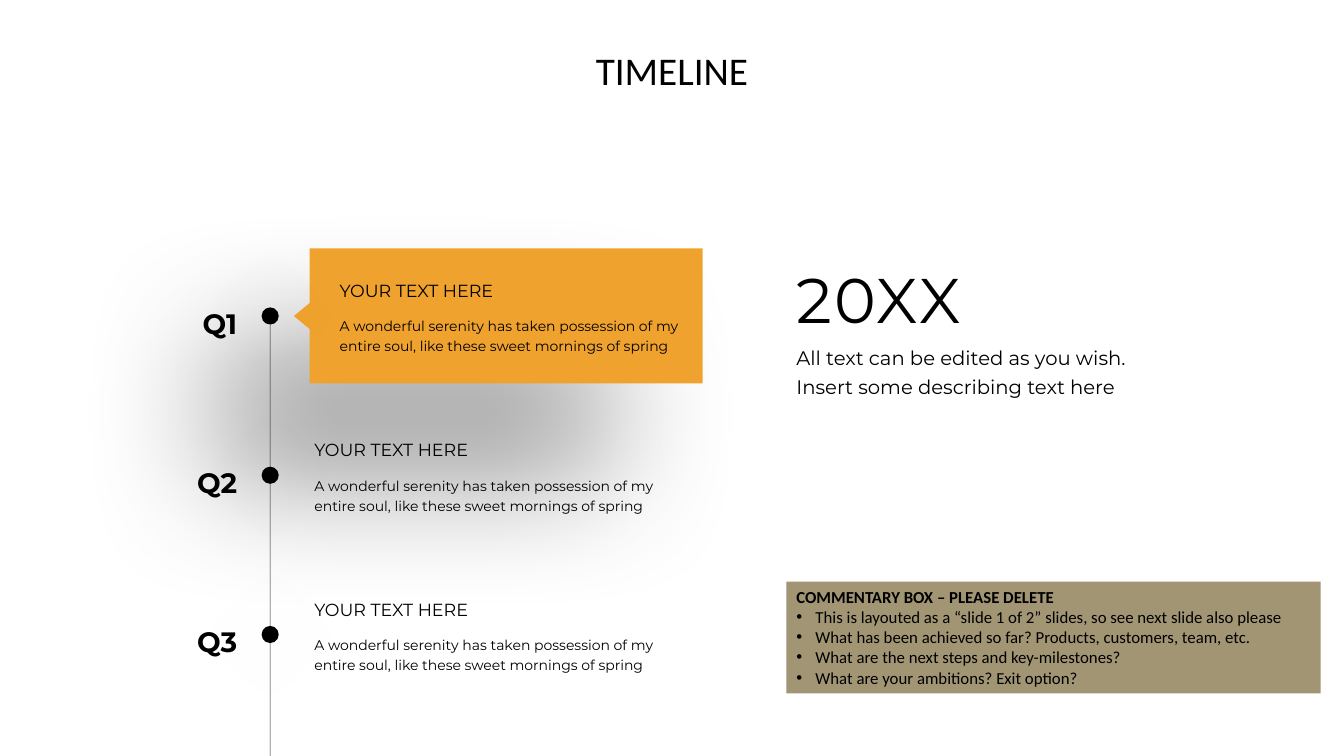
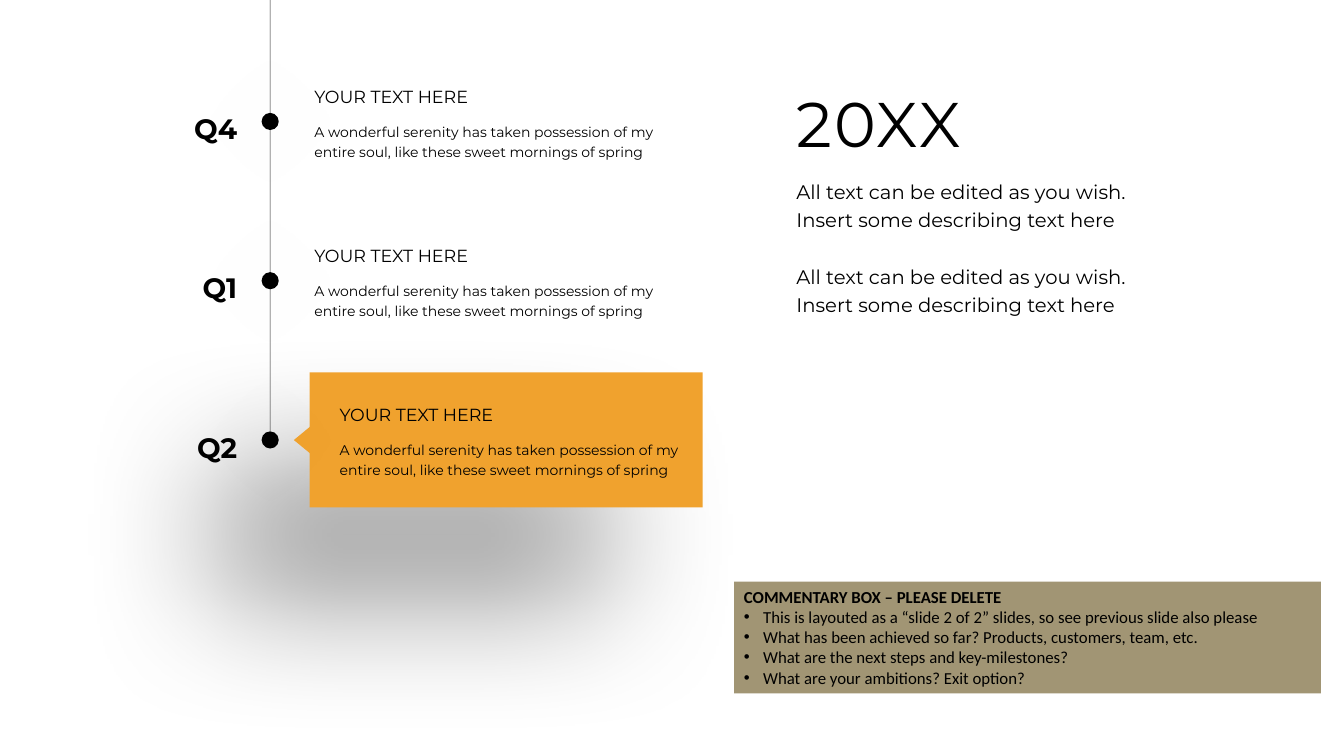
"""Build a two-slide quarterly timeline with highlighted callouts."""
import pptx
import pptx.util
import pptx.dml.color
import pptx.enum.shapes
import pptx.enum.text
import pptx.oxml
import pptx.oxml.ns

W, H = 13.33, 7.5
BLACK, ORANGE, SAND, SHADE = "000000", "F0A22E", "A19574", "0D0D0D"
SANS, DISPLAY = "Calibri", "Montserrat"
STEP, DOT, AXIS_X = 1.58, 0.17, 2.68
RIGHT_X, NOTE_RIGHT = 7.8, 13.1
HEADING = "YOUR TEXT HERE"
BODY = ("A wonderful serenity has taken possession of my entire soul, "
        "like these sweet mornings of spring")
ABOUT = ["All text can be edited as you wish.", "Insert some describing text here"]
NOTE_TITLE = "COMMENTARY BOX – PLEASE DELETE"
NOTE_POINTS = [
    "What has been achieved so far? Products, customers, team, etc.",
    "What are the next steps and key-milestones?",
    "What are your ambitions? Exit option?",
]
SLIDES = [
    dict(title="TIMELINE", quarters=["Q1", "Q2", "Q3"], first=3.05, active=0,
         axis=(3.22, H), year_y=2.68, about_y=3.34, about=[ABOUT], note_x=7.8,
         note="This is layouted as a “slide 1 of 2” slides, so see next slide also please"),
    dict(title=None, quarters=["Q4", "Q1", "Q2"], first=1.12, active=2,
         axis=(0, 4.28), year_y=0.93, about_y=1.69, about=[ABOUT, ABOUT], note_x=7.28,
         note="This is layouted as a “slide 2 of 2” slides, so see previous slide also please"),
]

inch, Pt = pptx.util.Inches, pptx.util.Pt
SHAPE = pptx.enum.shapes.MSO_SHAPE
ALIGN = pptx.enum.text.PP_ALIGN
ANCHOR = pptx.enum.text.MSO_ANCHOR


def rgb(value):
    """Return a colour from a hex string."""
    return pptx.dml.color.RGBColor.from_string(value)


def add_xml(parent, tag, **attrs):
    """Append a drawing element with attributes."""
    el = pptx.oxml.parse_xml(f"<a:{tag} {pptx.oxml.ns.nsdecls('a')}/>")
    for name, value in attrs.items():
        el.set(name, str(value))
    parent.append(el)
    return el


def add_shape(s, kind, x, y, w, h, color):
    """Add a plain filled shape."""
    sp = s.shapes.add_shape(kind, inch(x), inch(y), inch(w), inch(h))
    sp.fill.solid()
    sp.fill.fore_color.rgb = rgb(color)
    sp.line.fill.background()
    sp.shadow.inherit = False
    return sp


def add_shadow(sp, color, dist=0, angle=0):
    """Give a shape a wide, soft shadow."""
    effects = sp.element.spPr.find(pptx.oxml.ns.qn("a:effectLst"))
    shadow = add_xml(effects, "outerShdw", blurRad=Pt(100), dist=Pt(dist),
                     dir=angle * 60000, rotWithShape=0)
    add_xml(add_xml(shadow, "srgbClr", val=color), "alpha", val=40000)


def add_run(p, text, size, font, bold=False):
    """Add one styled run to a paragraph."""
    r = p.add_run()
    r.text = text
    r.font.size, r.font.name, r.font.bold = Pt(size), font, bold
    r.font.color.rgb = rgb(BLACK)
    return r


def next_paragraph(tf, index):
    """Return the first paragraph or a new one."""
    return tf.add_paragraph() if index else tf.paragraphs[0]


def add_text(s, x, y, w, h, lines, size, font=DISPLAY, bold=False,
             align=ALIGN.LEFT, spacing=None, anchor=ANCHOR.TOP):
    """Add a text box with one paragraph per line."""
    tf = s.shapes.add_textbox(inch(x), inch(y), inch(w), inch(h)).text_frame
    tf.word_wrap, tf.vertical_anchor = True, anchor
    for i, line in enumerate(lines):
        p = next_paragraph(tf, i)
        p.alignment, p.line_spacing = align, spacing
        add_run(p, line, size, font, bold)
    return tf


def add_callout(s, mid):
    """Add the highlighted box and its pointer around a height."""
    box = add_shape(s, SHAPE.RECTANGLE, 3.07, mid - 0.67, 3.9, 1.34, ORANGE)
    add_shadow(box, BLACK, 96, 135)
    tip = add_shape(s, SHAPE.ISOSCELES_TRIANGLE, 2.86, mid - DOT / 2, 0.28, DOT, ORANGE)
    tip.rotation = 270


def add_axis(s, top, bottom):
    """Add the faint vertical timeline."""
    axis = s.shapes.add_connector(pptx.enum.shapes.MSO_CONNECTOR.STRAIGHT,
                                  inch(AXIS_X), inch(top), inch(AXIS_X), inch(bottom))
    axis.line.width = Pt(1)
    axis.line.color.rgb = rgb(BLACK)
    spPr = axis.element.spPr
    add_xml(next(spPr.iter(pptx.oxml.ns.qn("a:srgbClr"))), "alpha", val=30000)
    add_xml(spPr, "effectLst")


def add_milestone(s, quarter, y, active):
    """Add a dot, its quarter and its text."""
    add_shadow(add_shape(s, SHAPE.OVAL, AXIS_X - DOT / 2, y, DOT, DOT, BLACK), SHADE)
    x = 3.27 if active else 3.02
    add_text(s, x, y - 0.32, 2.23, 0.31, [HEADING], 12.5)
    add_text(s, x, y + 0.02, 3.59, 0.49, [BODY], 10, spacing=1.2)
    add_text(s, 1.04, y - 0.13, 1.41, 0.48, [quarter], 20, bold=True,
             align=ALIGN.RIGHT, spacing=1.2)


def add_note(s, x, points):
    """Add the commentary box with bullets."""
    tf = add_shape(s, SHAPE.RECTANGLE, x, 5.77, NOTE_RIGHT - x, 1.11, SAND).text_frame
    tf.word_wrap, tf.vertical_anchor = True, ANCHOR.TOP
    for i, line in enumerate([NOTE_TITLE, *points]):
        p = next_paragraph(tf, i)
        p.alignment = ALIGN.LEFT
        if i:
            pPr = p._p.get_or_add_pPr()
            pPr.set("marL", str(inch(0.19)))
            pPr.set("indent", str(inch(-0.19)))
            add_xml(pPr, "buFont", typeface="Arial")
            add_xml(pPr, "buChar", char="•")
        add_run(p, line, 12, SANS, bold=not i)


def build_slide(prs, data):
    """Add one timeline slide."""
    s = prs.slides.add_slide(prs.slide_layouts[6])
    add_callout(s, data["first"] + data["active"] * STEP + DOT / 2)
    add_axis(s, *data["axis"])
    for i, quarter in enumerate(data["quarters"]):
        add_milestone(s, quarter, data["first"] + i * STEP, i == data["active"])
    tf = add_text(s, RIGHT_X, data["year_y"], 2.15, 0.72, ["20XX"], 45, spacing=0.8)
    tf.paragraphs[0].runs[0].font._element.set("spc", "190")
    lines = [line for block in data["about"] for line in block]
    tf = add_text(s, RIGHT_X, data["about_y"], 3.92, 0.47 * len(lines), lines, 14, spacing=1.2)
    for p in tf.paragraphs[len(ABOUT)::len(ABOUT)]:
        p.space_before = Pt(20.4)
    add_note(s, data["note_x"], [data["note"], *NOTE_POINTS])
    if data["title"]:
        add_text(s, 0, 0, W, 1.45, [data["title"]], 28, SANS,
                 align=ALIGN.CENTER, spacing=0.9, anchor=ANCHOR.MIDDLE)


def main():
    """Build and save the deck."""
    prs = pptx.Presentation()
    prs.slide_width, prs.slide_height = inch(W), inch(H)
    for data in SLIDES:
        build_slide(prs, data)
    prs.save("out.pptx")


if __name__ == "__main__":
    main()
